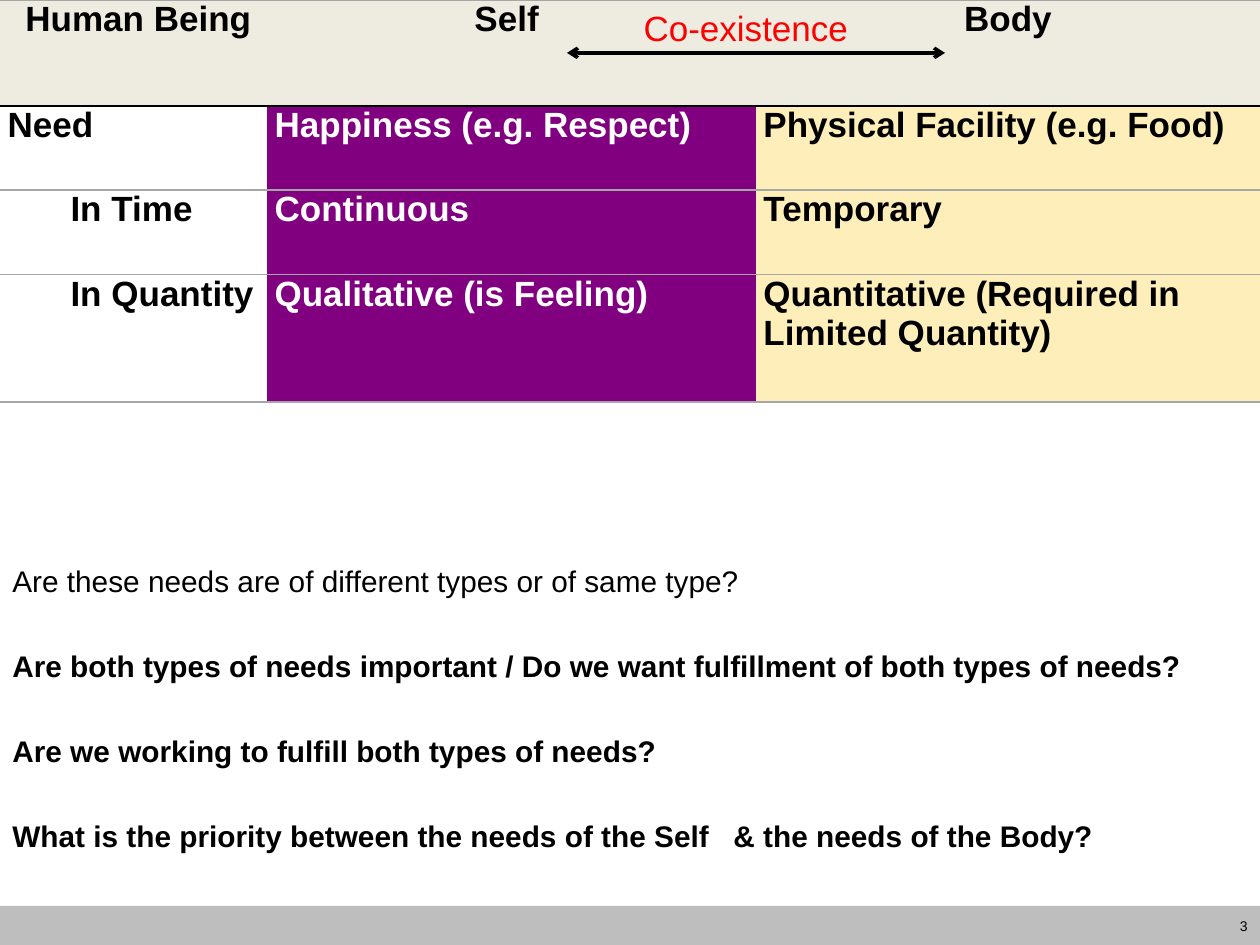
"""Build the slide comparing the needs of the Self and the Body."""
from lxml import etree
from pptx import Presentation
from pptx.dml.color import RGBColor
from pptx.enum.shapes import MSO_CONNECTOR, MSO_SHAPE
from pptx.enum.text import MSO_ANCHOR, PP_ALIGN
from pptx.oxml import parse_xml
from pptx.oxml.ns import nsdecls, qn
from pptx.util import Inches, Pt

LEFT, CENTER, RIGHT = PP_ALIGN.LEFT, PP_ALIGN.CENTER, PP_ALIGN.RIGHT
MIDDLE = MSO_ANCHOR.MIDDLE
RECTANGLE = MSO_SHAPE.RECTANGLE
STRAIGHT = MSO_CONNECTOR.STRAIGHT
BLACK, WHITE, GREY = "000000", "FFFFFF", "A6A6A6"


def rgb(value):
    """Turn a hex string into a colour."""
    return RGBColor.from_string(value)


def write(paragraph, text, size=20, color=BLACK, bold=False, align=LEFT):
    """Add formatted text to a paragraph."""
    paragraph.alignment = align
    run = paragraph.add_run()
    run.text = text
    run.font.name = "Arial"
    run.font.size = Pt(size)
    run.font.bold = bold
    run.font.color.rgb = rgb(color)


prs = Presentation()
prs.slide_width, prs.slide_height = Inches(10), Inches(7.5)
slide = prs.slides.add_slide(prs.slide_layouts[6])
shapes = slide.shapes

footer = shapes.add_shape(RECTANGLE, Inches(0), Inches(7.19), Inches(10), Inches(0.33))
footer.shadow.inherit = False
footer.fill.solid()
footer.fill.fore_color.rgb = rgb("BEBEBE")
footer.line.fill.background()

page_number = shapes.add_textbox(Inches(9.53), Inches(7.19), Inches(0.47), Inches(0.32)).text_frame
page_number.word_wrap = True
page_number.vertical_anchor = MIDDLE
write(page_number.paragraphs[0], "3", size=8, align=RIGHT)

questions = [
    ("Are these needs are of different types or of same type?", False),
    ("Are both types of needs important / Do we want fulfillment of both types of needs?", True),
    ("Are we working to fulfill both types of needs?", True),
    ("What is the priority between the needs of the Self   & the needs of the Body?", True),
]
discussion = shapes.add_textbox(Inches(0), Inches(4.42), Inches(10), Inches(2.6)).text_frame
discussion.word_wrap = True
for index, (question, bold) in enumerate(questions):
    paragraph = discussion.add_paragraph() if index else discussion.paragraphs[0]
    paragraph.space_after = Pt(28)
    write(paragraph, question, size=17, bold=bold)

needs = [
    (" Human Being", "Self ", "Body"),
    ("Need", "Happiness (e.g. Respect)", "Physical Facility (e.g. Food)"),
    ("In Time", "Continuous", "Temporary"),
    ("In Quantity", "Qualitative (is Feeling)", "Quantitative (Required in Limited Quantity)"),
]
column_fills = [WHITE, "800080", "FEEEB9"]
column_colors = [BLACK, WHITE, BLACK]
row_borders = [GREY, BLACK, GREY, GREY, GREY]
table = shapes.add_table(4, 3, Inches(0), Inches(0), Inches(10), Inches(3.2)).table
table.first_row = table.horz_banding = False
for column, width in zip(table.columns, [2.12, 3.88, 4]):
    column.width = Inches(width)
for row, height in zip(table.rows, [0.84, 0.67, 0.67, 1.01]):
    row.height = Inches(height)

for r, row_texts in enumerate(needs):
    for c, text in enumerate(row_texts):
        header = r == 0
        cell = table.cell(r, c)
        cell.margin_left = cell.margin_right = Inches(0.06)
        cell.margin_top = cell.margin_bottom = 0
        cell.fill.solid()
        cell.fill.fore_color.rgb = rgb("EEECE1" if header else column_fills[c])
        paragraph = cell.text_frame.paragraphs[0]
        write(paragraph, text, bold=True, align=CENTER if header else LEFT,
              color=BLACK if header else column_colors[c])
        if c == 0 and r >= 2:
            paragraph.level = 1
            paragraph_format = paragraph._p.get_or_add_pPr()
            paragraph_format.set("marL", str(Inches(0.5)))
            paragraph_format.set("indent", "0")
        sides = [("L", None), ("R", None), ("T", row_borders[r]), ("B", row_borders[r + 1])]
        for position, (side, color) in enumerate(sides):
            paint = f'<a:solidFill><a:srgbClr val="{color}"/></a:solidFill>' if color else "<a:noFill/>"
            border = parse_xml(f'<a:ln{side} {nsdecls("a")} w="{Pt(1)}">{paint}</a:ln{side}>')
            cell._tc.get_or_add_tcPr().insert(position, border)

relation = shapes.add_textbox(Inches(4.92), Inches(0), Inches(2), Inches(0.91)).text_frame
relation.word_wrap = True
write(relation.paragraphs[0], "Co-existence", color="FF0000", align=CENTER)

relation_arrow = shapes.add_connector(STRAIGHT, Inches(4.5), Inches(0.42), Inches(7.5), Inches(0.42))
relation_arrow.line.color.rgb = rgb(BLACK)
relation_arrow.line.width = Pt(2)
arrow_line = relation_arrow.line._get_or_add_ln()
for end in ("a:headEnd", "a:tailEnd"):
    etree.SubElement(arrow_line, qn(end), type="arrow")
etree.SubElement(relation_arrow._element.spPr, qn("a:effectLst"))

prs.save("out.pptx")
